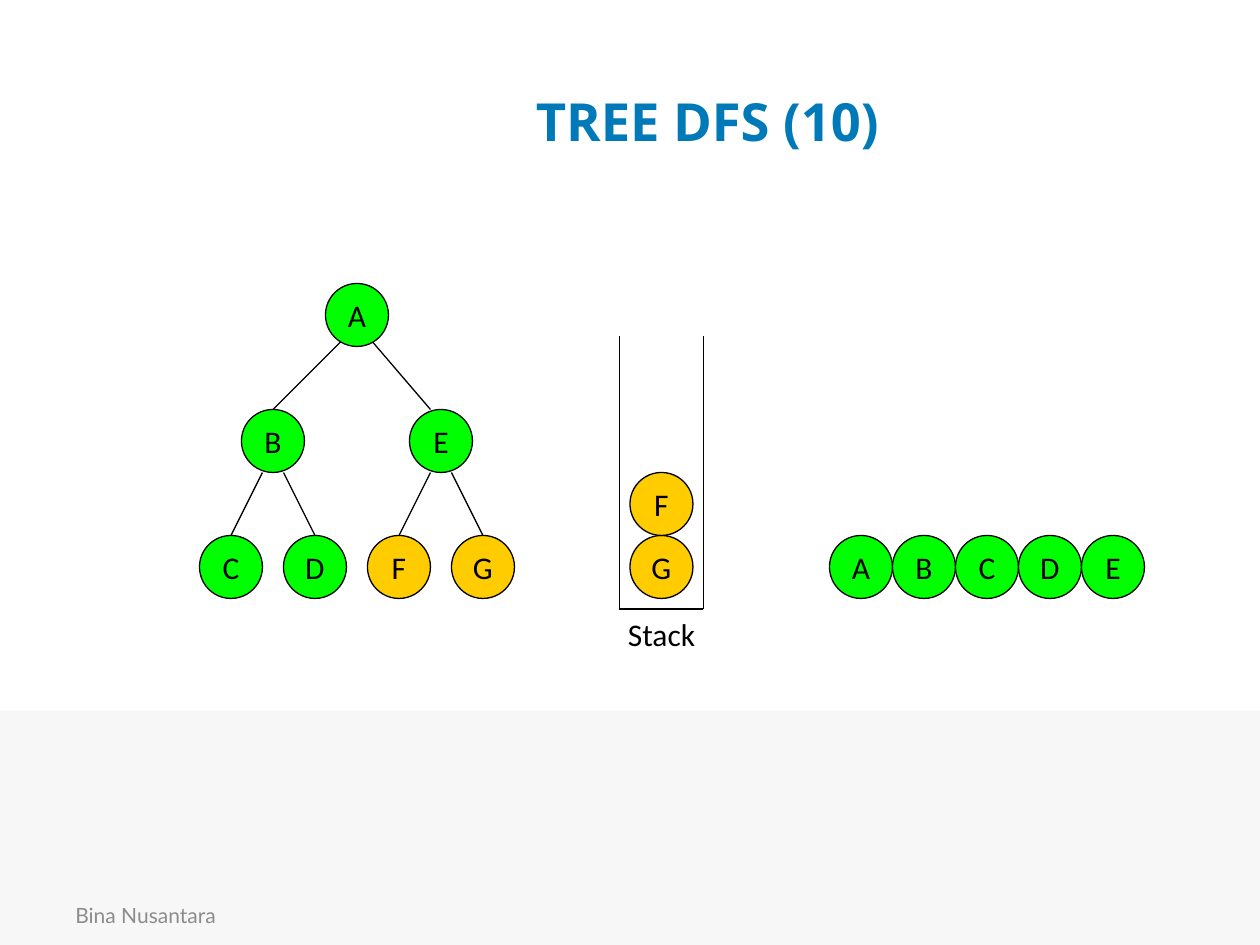
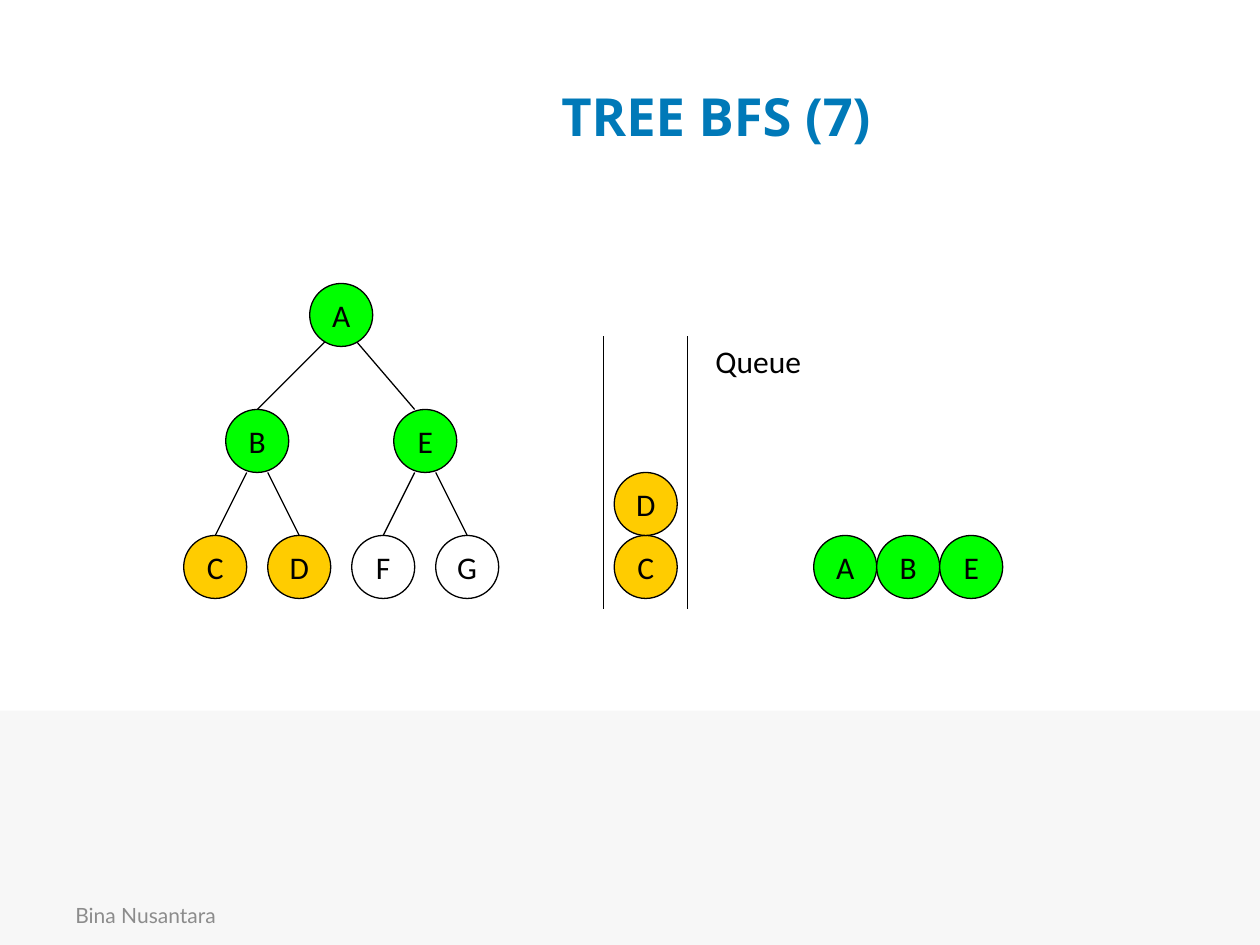
import dataclasses

import pptx
import pptx.dml.color
import pptx.enum.shapes
import pptx.enum.text
import pptx.oxml.ns
import pptx.util
from lxml import etree

Pt = pptx.util.Pt
RGB = pptx.dml.color.RGBColor.from_string
Align = pptx.enum.text.PP_ALIGN
Anchor = pptx.enum.text.MSO_ANCHOR
AutoSize = pptx.enum.text.MSO_AUTO_SIZE
Shape = pptx.enum.shapes.MSO_SHAPE
Connector = pptx.enum.shapes.MSO_CONNECTOR


@dataclasses.dataclass(frozen=True)
class TextStyle:
    font: str
    size: int
    color: str
    bold: bool = False


@dataclasses.dataclass(frozen=True)
class Theme:
    visited: str = "00FF00"
    waiting: str = "FFCC00"
    unseen: str = "FFFFFF"
    outline: str = "000000"
    band: str = "F7F7F7"
    stroke: float = 0.75
    title: TextStyle = TextStyle("Open Sans", 30, "0079B8", True)
    footer: TextStyle = TextStyle("Lato", 12, "8C8C8C")
    label: TextStyle = TextStyle("Calibri", 18, "000000")


NODE = 36
LEAF_STEP = 48
ROOT_TOP, BRANCH_TOP, LEAF_TOP = 162, 234, 306
STORE_TOP, STORE_BOTTOM = 192, 348
EDGE_SHIFT = 6
STORE_OFFSET, STORE_WIDTH = 240, 48
VISITED_OFFSET = 360
TREE_ORDER = "ABECDFG"


class Deck:
    def __init__(self, theme):
        self.theme = theme
        self.presentation = pptx.Presentation()
        self.presentation.slide_width = Pt(720)
        self.presentation.slide_height = Pt(540)
        self.layout = self.presentation.slide_layouts.get_by_name("Title Only")
        self.slide = None
        self.shapes = None

    def new_slide(self, title, left, top):
        first = self.slide is None
        self.slide = self.presentation.slides.add_slide(self.layout)
        self.shapes = self.slide.shapes
        if first:
            self.shared_band()
        self.text("Bina Nusantara", 36, 508.5, 168, 28.5, self.theme.footer,
                  Align.LEFT, Anchor.MIDDLE, wrap=True)
        heading = self.slide.shapes.title
        self.place(heading, left, top, 556.5, 90)
        self.fill_text(heading, title, self.theme.title, Align.CENTER, Anchor.MIDDLE, wrap=True)

    def shared_band(self):
        band = self.shapes.add_shape(Shape.RECTANGLE, Pt(0), Pt(406), Pt(720), Pt(134))
        band.shadow.inherit = False
        band.fill.solid()
        band.fill.fore_color.rgb = RGB(self.theme.band)
        band.line.fill.background()
        self.layout.shapes.element.insert(2, band.element)

    def start_group(self):
        self.shapes = self.slide.shapes.add_group_shape().shapes

    def end_group(self):
        self.shapes = self.slide.shapes

    def place(self, shape, left, top, width, height):
        shape.left, shape.top = Pt(left), Pt(top)
        shape.width, shape.height = Pt(width), Pt(height)

    def fill_text(self, shape, words, style, align, anchor, wrap=False):
        frame = shape.text_frame
        frame.auto_size = AutoSize.NONE
        frame.word_wrap = wrap
        frame.vertical_anchor = anchor
        paragraph = frame.paragraphs[0]
        paragraph.alignment = align
        run = paragraph.add_run()
        run.text = words
        run.font.name = style.font
        run.font.size = Pt(style.size)
        run.font.bold = style.bold
        run.font.color.rgb = RGB(style.color)

    def text(self, words, left, top, width, height, style, align, anchor, wrap=False):
        box = self.shapes.add_textbox(Pt(left), Pt(top), Pt(width), Pt(height))
        self.fill_text(box, words, style, align, anchor, wrap)

    def line(self, x1, y1, x2, y2):
        line = self.shapes.add_connector(Connector.STRAIGHT, Pt(x1), Pt(y1), Pt(x2), Pt(y2))
        line.line.color.rgb = RGB(self.theme.outline)
        line.line.width = Pt(self.theme.stroke)
        properties = line.element.find(pptx.oxml.ns.qn("p:spPr"))
        etree.SubElement(properties, pptx.oxml.ns.qn("a:effectLst"))

    def node(self, letter, left, top, color):
        node = self.shapes.add_shape(Shape.OVAL, Pt(left), Pt(top), Pt(NODE), Pt(NODE))
        node.shadow.inherit = False
        node.fill.solid()
        node.fill.fore_color.rgb = RGB(color)
        node.line.color.rgb = RGB(self.theme.outline)
        node.line.width = Pt(self.theme.stroke)
        self.fill_text(node, letter, self.theme.label, Align.CENTER, Anchor.MIDDLE)

    def tree(self, left, visited, waiting):
        leaves = [left + LEAF_STEP * index for index in range(4)]
        branches = [(leaves[0] + leaves[1]) / 2, (leaves[2] + leaves[3]) / 2]
        root = sum(branches) / 2
        half = NODE / 2
        self.start_group()
        for index, leaf in enumerate(leaves):
            shift = EDGE_SHIFT if index % 2 else -EDGE_SHIFT
            self.line(leaf + half, LEAF_TOP,
                      branches[index // 2] + half + shift, BRANCH_TOP + NODE)
        self.line(branches[0] + half, BRANCH_TOP, root + half - EDGE_SHIFT, STORE_TOP)
        self.line(branches[1] + half - EDGE_SHIFT, BRANCH_TOP,
                  root + half + EDGE_SHIFT, STORE_TOP)
        tops = [ROOT_TOP] + [BRANCH_TOP] * 2 + [LEAF_TOP] * 4
        for letter, x, y in zip(TREE_ORDER, [root, *branches, *leaves], tops):
            if letter in visited:
                color = self.theme.visited
            elif letter in waiting:
                color = self.theme.waiting
            else:
                color = self.theme.unseen
            self.node(letter, x, y, color)
        self.end_group()

    def store(self, left, waiting, closed):
        right = left + STORE_WIDTH
        self.start_group()
        for wall in (left, right):
            self.line(wall, STORE_BOTTOM, wall, STORE_TOP)
        if closed:
            self.line(left, STORE_BOTTOM, right, STORE_BOTTOM)
        for level, letter in enumerate(waiting):
            self.node(letter, left + (STORE_WIDTH - NODE) / 2,
                      LEAF_TOP - NODE * level, self.theme.waiting)
        self.end_group()

    def visited_row(self, left, visited):
        for index, letter in enumerate(visited):
            self.node(letter, left + NODE * index, LEAF_TOP, self.theme.visited)

    def traversal(self, left, visited, waiting, closed):
        self.tree(left, visited, waiting)
        self.store(left + STORE_OFFSET, waiting, closed)
        self.visited_row(left + VISITED_OFFSET, visited)

    def store_label(self, words, left, top, width):
        self.text(words, left, top, width, 29, self.theme.label, Align.CENTER, Anchor.TOP)


def main():
    deck = Deck(Theme())

    deck.new_slide("TREE DFS (10)", 126, 24)
    deck.traversal(114, visited="ABCDE", waiting="GF", closed=True)
    deck.store_label("Stack", 348, STORE_BOTTOM, 60)

    deck.new_slide("TREE BFS (7)", 131, 21)
    deck.traversal(105, visited="ABE", waiting="CD", closed=False)
    deck.store_label("Queue", 399, STORE_TOP, 68.5)

    deck.presentation.save("out.pptx")


if __name__ == "__main__":
    main()
